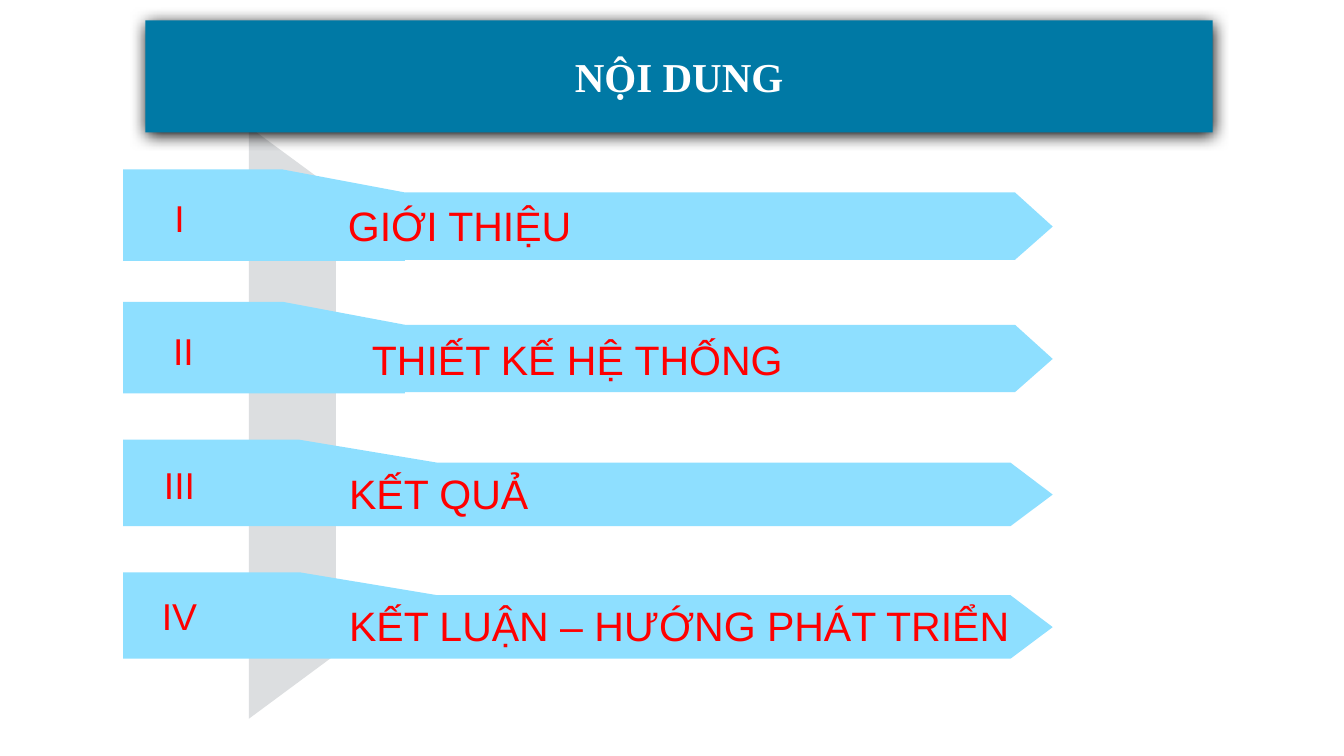
import pptx
import pptx.util
import pptx.dml.color
import pptx.enum.text
import pptx.oxml
import pptx.oxml.ns

Pt = pptx.util.Pt
ALIGN = pptx.enum.text.PP_ALIGN
ANCHOR = pptx.enum.text.MSO_ANCHOR

TITLE = "NỘI DUNG"
TITLE_BOX = (77.9, 10.9, 571.8, 60)
SPINE = [(133.3, 67.9), (180, 102.2), (180, 350.6), (133.3, 385.1)]

# Ribbon outlines, with heights counted from the ribbon's top
DEEP = [(66, 0), (151.5, 0), (217, 12.3), (543.8, 12.3), (564, 30.6),
        (543.8, 48.4), (217, 48.4), (217, 49), (66, 49)]
SHALLOW = [(66, 0), (160.6, 0), (234.3, 12.3), (541.4, 12.3), (564, 29.4),
           (541.4, 46.3), (66, 46.3)]

# numeral, numeral left and top, heading, heading left, top and width, outline, ribbon top
SECTIONS = [
    ("I", 74.2, 100.8, "GIỚI THIỆU", 179.3, 103.9, 135.4, DEEP, 90.8),
    ("II", 76.3, 172.4, "THIẾT KẾ HỆ THỐNG", 192.2, 175.9, 236.9, DEEP, 161.7),
    ("III", 74.2, 244, "KẾT QUẢ", 180, 247.3, 110.9, SHALLOW, 235.6),
    ("IV", 74.2, 314.2, "KẾT LUẬN – HƯỚNG PHÁT TRIỂN", 180, 318.2, 378.7, SHALLOW, 306.6),
]

BLUE, LIGHT_BLUE, GREY, RED, WHITE = "0079A5", "8EDFFF", "DCDEE0", "FF0000", "FFFFFF"
NUMERAL = {"name": "Arial", "size": Pt(20)}
HEADING = {"name": "Arial", "size": Pt(22)}
TITLE_FONT = {"name": "Times New Roman", "size": Pt(22), "bold": True}


def paint(target, color):
    """Give a fill or a font a solid colour."""
    if hasattr(target, "solid"):
        target.solid()
        target = target.fore_color
    else:
        target = target.color
    target.rgb = pptx.dml.color.RGBColor.from_string(color)


def write(shape, text, font_format, color, align):
    paragraph = shape.text_frame.paragraphs[0]
    paragraph.alignment = align
    run = paragraph.add_run()
    run.text = text
    for name, value in font_format.items():
        setattr(run.font, name, value)
    paint(run.font, color)


def add_polygon(slide, points, color):
    corners = [(Pt(x), Pt(y)) for x, y in points]
    builder = slide.shapes.build_freeform(*corners[0], scale=1.0)
    builder.add_line_segments(corners[1:], close=True)
    shape = builder.convert_to_shape()
    shape.shadow.inherit = False
    paint(shape.fill, color)
    shape.line.fill.background()


def add_label(slide, box, text, font_format, align, wrap):
    shape = slide.shapes.add_textbox(*map(Pt, box))
    shape.text_frame.word_wrap = wrap
    write(shape, text, font_format, RED, align)


def add_title(slide):
    """Turn the title placeholder into the banner, in front of everything."""
    title = slide.shapes.title
    title.left, title.top, title.width, title.height = map(Pt, TITLE_BOX)
    paint(title.fill, BLUE)
    frame_format = {"vertical_anchor": ANCHOR.MIDDLE, "word_wrap": True}
    for side in ("left", "top", "right", "bottom"):
        frame_format["margin_" + side] = Pt(4.5)
    for name, value in frame_format.items():
        setattr(title.text_frame, name, value)
    write(title, TITLE, TITLE_FONT, WHITE, ALIGN.CENTER)
    title._element.spPr.append(pptx.oxml.parse_xml(
        f'<a:effectLst {pptx.oxml.ns.nsdecls("a")}>'
        f'<a:outerShdw blurRad="{Pt(8.5)}" dist="{Pt(1)}" dir="5400000" rotWithShape="0">'
        '<a:srgbClr val="000000"/></a:outerShdw></a:effectLst>'))
    slide.shapes._spTree.append(title._element)


def main():
    presentation = pptx.Presentation()
    presentation.slide_width, presentation.slide_height = Pt(720), Pt(405)
    slide = presentation.slides.add_slide(presentation.slide_layouts[5])
    paint(slide.background.fill, WHITE)

    add_polygon(slide, SPINE, GREY)
    for numeral, left, top, heading, text_left, text_top, width, outline, ribbon_top in SECTIONS:
        add_polygon(slide, [(x, ribbon_top + y) for x, y in outline], LIGHT_BLUE)
        add_label(slide, (left, top, 43.9, 31.5), numeral, NUMERAL, ALIGN.CENTER, True)
        add_label(slide, (text_left, text_top, width, 33.9), heading, HEADING, ALIGN.LEFT, False)
    add_title(slide)
    presentation.save("out.pptx")


if __name__ == "__main__":
    main()
